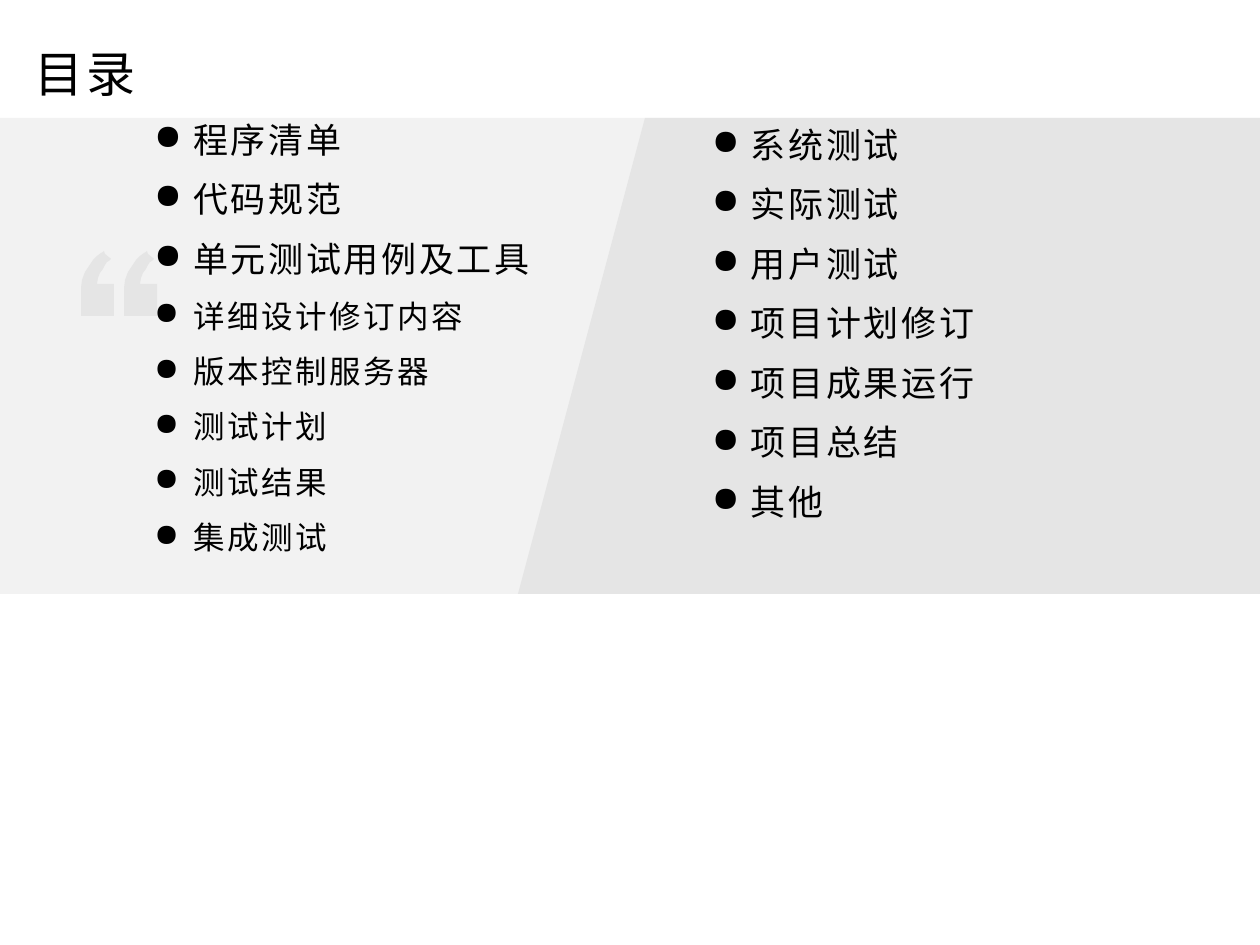
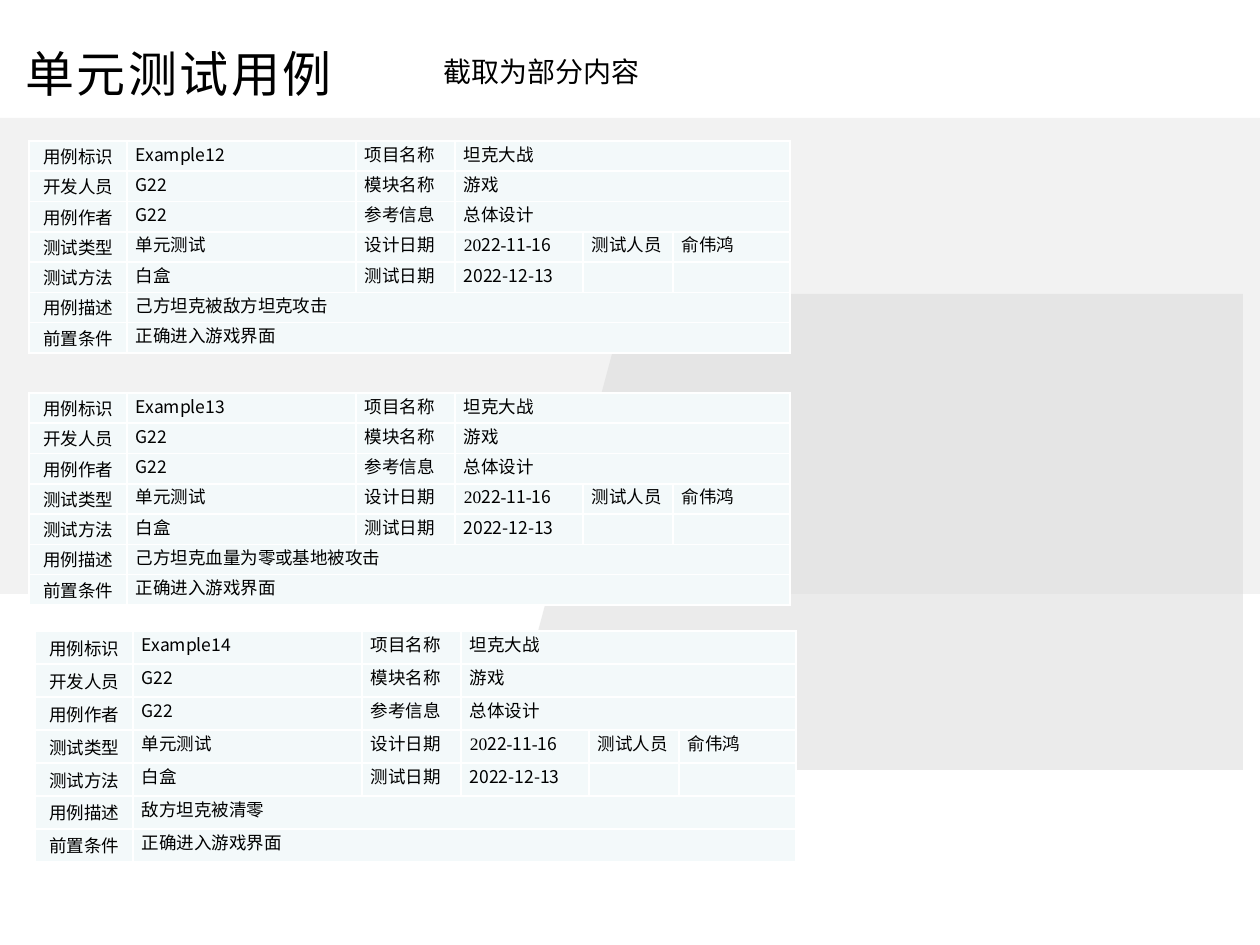
import dataclasses

import lxml.etree
import pptx
import pptx.dml.color
import pptx.enum.shapes
import pptx.enum.text
import pptx.oxml.ns
import pptx.util

SCALE = 914400 / 126
qn = pptx.oxml.ns.qn


@dataclasses.dataclass(frozen=True)
class Theme:
    ink: str = "000000"
    paper: str = "FFFFFF"
    band: str = "F2F2F2"
    accent: str = "D9D9D9"
    cell: str = "F3F9FA"
    font: str = "Noto Sans CJK SC"
    note_font: str = "Arial"
    digit_font: str = "Times New Roman"
    title: int = 28
    large: int = 20
    medium: int = 18
    note: int = 16
    small: int = 10
    tracking: int = 150
    gap: int = 10


THEME = Theme()
TIGHT = (10, 0, 9, 0)
ROOMY = (13, 6, 13, 6)
COLUMNS = (98, 229, 99, 128, 90, 117)


def px(n):
    return pptx.util.Emu(round(n * SCALE))


def rgb(value):
    return pptx.dml.color.RGBColor.from_string(value)


def paint(s, color, alpha=None):
    s.shadow.inherit = False
    s.line.fill.background()
    s.fill.solid()
    s.fill.fore_color.rgb = rgb(color)
    if alpha:
        clr = s.fill._xPr.find(qn("a:solidFill"))[0]
        lxml.etree.SubElement(clr, qn("a:alpha")).set("val", str(alpha * 1000))


def outline(shapes, points):
    builder = shapes.build_freeform(*points[0], scale=SCALE)
    builder.add_line_segments(points[1:])
    paint(builder.convert_to_shape(), THEME.accent, 50)


def curve(start, c1, c2, end, steps=8):
    points = []
    for i in range(1, steps + 1):
        t = i / steps
        weights = ((1 - t) ** 3, 3 * t * (1 - t) ** 2, 3 * t * t * (1 - t), t ** 3)
        points.append(tuple(
            sum(w * q[axis] for w, q in zip(weights, (start, c1, c2, end)))
            for axis in (0, 1)))
    return points


def add_backdrop(s, x, y):
    band = s.shapes.add_shape(
        pptx.enum.shapes.MSO_SHAPE.RECTANGLE, px(0), px(118), px(1260), px(476))
    paint(band, THEME.band)
    outline(s.shapes, [(x + 127, y), (x + 742, y), (x + 742, y + 476), (x, y + 476)])


def add_quote_mark(s, x, y):
    mark = [(23, 0), (24, 3), (29, 7)]
    mark += curve((30, 8), (30, 8), (19, 16), (16, 33))
    mark += [(33, 33), (33, 65), (0, 65), (0, 37)]
    mark += curve((0, 37), (1, 13), (23, 0), (23, 0))
    group = s.shapes.add_group_shape()
    for left in (x, x + 43):
        outline(group.shapes, [(left + dx, y + dy) for dx, dy in mark])


def style(p, size, font=THEME.font, tracking=None):
    p.font.size = pptx.util.Pt(size)
    p.font.name = font
    p.font.color.rgb = rgb(THEME.ink)
    if tracking:
        p._p.pPr.find(qn("a:defRPr")).set("spc", str(tracking))


def add_text_frame(s, box, insets):
    tf = s.shapes.add_textbox(*map(px, box)).text_frame
    tf.word_wrap = True
    tf.margin_left, tf.margin_top, tf.margin_right, tf.margin_bottom = map(px, insets)
    return tf


def add_title(s, text, box):
    p = add_text_frame(s, box, TIGHT).paragraphs[0]
    p.text = text
    p.line_spacing = 1.3
    p.space_after = pptx.util.Pt(THEME.gap)
    style(p, THEME.title, tracking=THEME.tracking)


def add_note(s, text, box):
    p = add_text_frame(s, box, ROOMY).paragraphs[0]
    p.text = text
    style(p, THEME.note, THEME.note_font)


def add_bullets(s, items, box, insets):
    tf = add_text_frame(s, box, insets)
    for i, (text, size) in enumerate(items):
        p = tf.add_paragraph() if i else tf.paragraphs[0]
        p.text = text
        p.space_after = pptx.util.Pt(THEME.gap)
        style(p, size, tracking=THEME.tracking)
        pPr = p._p.pPr
        pPr.set("marL", str(px(39)))
        pPr.set("indent", str(px(-39)))
        bullet = lxml.etree.Element(qn("a:buChar"))
        bullet.set("char", "●")
        pPr.find(qn("a:defRPr")).addprevious(bullet)


def style_cell(cell, heading):
    cell.margin_left = cell.margin_right = px(9)
    cell.margin_top = cell.margin_bottom = 0
    tcPr = cell._tc.get_or_add_tcPr()
    for side in ("lnL", "lnR", "lnT", "lnB"):
        ln = lxml.etree.SubElement(tcPr, qn("a:" + side))
        ln.set("w", str(pptx.util.Pt(1)))
        fill = lxml.etree.SubElement(ln, qn("a:solidFill"))
        lxml.etree.SubElement(fill, qn("a:srgbClr")).set("val", THEME.paper)
    cell.fill.solid()
    cell.fill.fore_color.rgb = rgb(THEME.cell)
    p = cell.text_frame.paragraphs[0]
    style(p, THEME.small)
    if heading:
        cell.vertical_anchor = pptx.enum.text.MSO_ANCHOR.MIDDLE
        p.alignment = pptx.enum.text.PP_ALIGN.CENTER


def write_cell(cell, content):
    p = cell.text_frame.paragraphs[0]
    if isinstance(content, str):
        p.text = content
        return
    for text, font in content:
        r = p.add_run()
        r.text = text
        r.font.name = font


def case_rows(name, description):
    design_date = [("20", THEME.digit_font), ("22", THEME.font),
                   ("-", THEME.digit_font), ("11", THEME.font),
                   ("-", THEME.digit_font), ("16", THEME.font)]
    return [
        ("用例标识", name, "项目名称", "坦克大战"),
        ("开发人员", "G22", "模块名称", "游戏"),
        ("用例作者", "G22", "参考信息", "总体设计"),
        ("测试类型", "单元测试", "设计日期", design_date, "测试人员", "俞伟鸿"),
        ("测试方法", "白盒", "测试日期", "2022-12-13", "", ""),
        ("用例描述", description),
        ("前置条件", "正确进入游戏界面"),
    ]


def add_case_table(s, name, description, x, y, height):
    rows = case_rows(name, description)
    frame = s.shapes.add_table(
        len(rows), len(COLUMNS), px(x), px(y), px(sum(COLUMNS)), px(height))
    table = frame.table
    table.first_row = table.horz_banding = False
    for column, width in zip(table.columns, COLUMNS):
        column.width = px(width)
    for i, row in enumerate(rows):
        table.rows[i].height = px(height / len(rows))
        for j in range(len(COLUMNS)):
            style_cell(table.cell(i, j), j == 0)
        for j, content in enumerate(row):
            if content:
                write_cell(table.cell(i, j), content)
        if len(row) < len(COLUMNS):
            table.cell(i, len(row) - 1).merge(table.cell(i, len(COLUMNS) - 1))


def contents_slide(s):
    add_backdrop(s, 518, 118)
    add_title(s, "目录", (25, 26, 192, 86))
    add_quote_mark(s, 81, 251)
    left = [(t, THEME.large) for t in ("程序清单", "代码规范", "单元测试用例及工具")]
    left += [(t, THEME.medium) for t in (
        "详细设计修订内容", "版本控制服务器", "测试计划", "测试结果", "集成测试")]
    right = [(t, THEME.large) for t in (
        "系统测试", "实际测试", "用户测试", "项目计划修订", "项目成果运行",
        "项目总结", "其他")]
    add_bullets(s, left, (144, 118, 496, 460), TIGHT)
    add_bullets(s, right, (699, 117, 630, 471), ROOMY)


def unit_test_slide(s):
    add_backdrop(s, 501, 294)
    add_title(s, "单元测试用例", (15, 26, 1012, 115))
    add_case_table(s, "Example12", "己方坦克被敌方坦克攻击", 29, 141, 212)
    add_case_table(s, "Example13", "己方坦克血量为零或基地被攻击", 29, 393, 212)
    add_case_table(s, "Example14", "敌方坦克被清零", 35, 631, 231)
    add_note(s, "截取为部分内容", (431, 49, 292, 47))


def main():
    prs = pptx.Presentation()
    prs.slide_width, prs.slide_height = px(1260), px(945)
    for build in (contents_slide, unit_test_slide):
        s = prs.slides.add_slide(prs.slide_layouts[6])
        s.background.fill.solid()
        s.background.fill.fore_color.rgb = rgb(THEME.paper)
        build(s)
    prs.save("out.pptx")


main()
